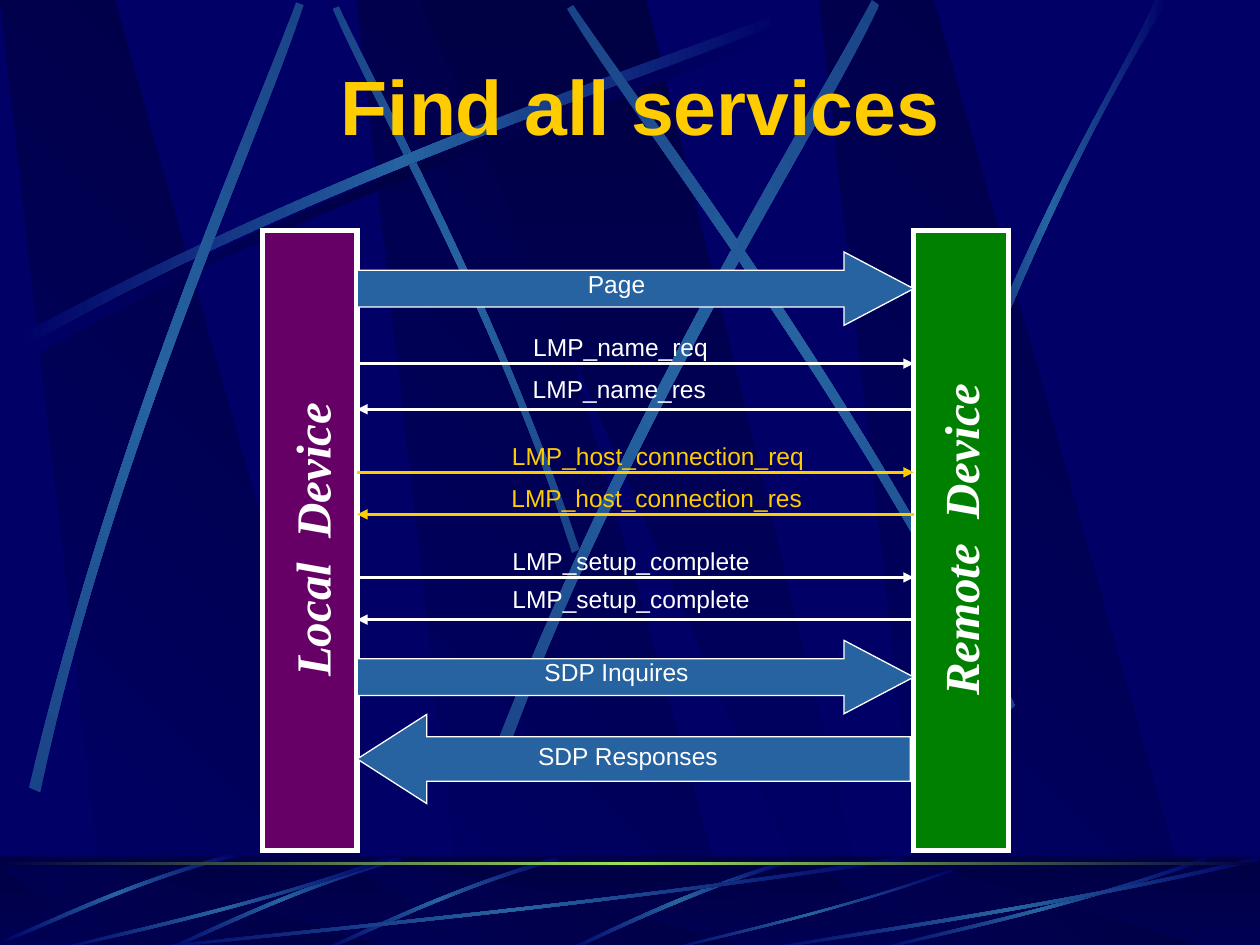
from copy import deepcopy
from dataclasses import dataclass

from pptx import Presentation
from pptx.dml.color import RGBColor
from pptx.enum.shapes import MSO_CONNECTOR, MSO_SHAPE
from pptx.enum.text import MSO_ANCHOR, MSO_AUTO_SIZE, PP_ALIGN
from pptx.oxml.ns import qn
from pptx.oxml.xmlchemy import OxmlElement
from pptx.util import Cm, Length, Pt

RECTANGLE = MSO_SHAPE.RECTANGLE
RIGHT_ARROW = MSO_SHAPE.RIGHT_ARROW
STRAIGHT = MSO_CONNECTOR.STRAIGHT
LEFT, CENTER = PP_ALIGN.LEFT, PP_ALIGN.CENTER
TOP, MIDDLE = MSO_ANCHOR.TOP, MSO_ANCHOR.MIDDLE
GROW = MSO_AUTO_SIZE.SHAPE_TO_FIT_TEXT

NAVY = RGBColor(0x00, 0x00, 0x66)
DARK = RGBColor(0x00, 0x00, 0x44)
DUSK = RGBColor(0x1A, 0x44, 0x88)
BLUE = RGBColor(0x26, 0x63, 0xA0)
LIME = RGBColor(0x9C, 0xE1, 0x57)
GOLD = RGBColor(0xFF, 0xCC, 0x00)
WHITE = RGBColor(0xFF, 0xFF, 0xFF)
GREEN = RGBColor(0x00, 0x80, 0x00)
PURPLE = RGBColor(0x66, 0x00, 0x66)

GRID = Cm(0.0254)  # background grid: 1000 by 750 units
LANE_LEFT, LANE_RIGHT = Cm(7.2), Cm(18.42)
LABEL_HEIGHT = Cm(0.86)
Point = tuple[float, float]


@dataclass(frozen=True)
class Beam:
    """Two cubic edges, each of four points, and the direction of its gradient."""
    there: tuple[Point, ...]
    back: tuple[Point, ...]
    angle: float = 0
    middle: RGBColor = BLUE
    ends: RGBColor = NAVY


@dataclass(frozen=True)
class Device:
    name: str
    left: Length
    text_center: Length
    color: RGBColor


@dataclass(frozen=True)
class BlockArrow:
    text: str
    top: Length
    height: Length
    width: Length
    head: float
    label_left: Length
    label_top: Length
    rotation: int = 0


@dataclass(frozen=True)
class Message:
    text: str
    y: Length
    label_left: Length
    label_top: Length
    label_width: Length
    to_remote: bool
    color: RGBColor = WHITE


WALL_BEAMS = [
    Beam(((20, 275), (284, 134), (524, 59), (626, 18)),
         ((629, 24), (528, 69), (254, 151), (23, 285)), middle=DARK),
    Beam(((460, 436), (391, 234), (302, 77), (269, 5)),
         ((264, 7), (295, 79), (398, 258), (454, 439)), 45, ends=DUSK),
    Beam(((14, 267), (278, 125), (518, 51), (620, 10)),
         ((623, 16), (522, 61), (248, 143), (17, 277))),
    Beam(((23, 625), (93, 334), (197, 105), (235, 2)),
         ((241, 4), (207, 108), (86, 368), (32, 629)), 311.7, ends=DUSK),
    Beam(((385, 614), (498, 320), (638, 102), (692, 0)),
         ((698, 4), (649, 108), (486, 355), (394, 621)), 321.6, ends=DUSK),
    Beam(((806, 560), (670, 293), (516, 95), (455, 4)),
         ((450, 7), (507, 101), (685, 325), (799, 566)), 34.8, ends=DUSK),
    Beam(((738, 393), (814, 173), (888, 66), (917, 0)),
         ((927, 0), (836, 145), (769, 322), (744, 397))),
]
FLOOR_BEAMS = [
    Beam(((627, 682), (537, 709), (477, 742), (448, 754)),
         ((453, 755), (490, 737), (571, 700), (628, 685))),
    *(Beam(((x + 186, 680), (x + 99, 705), (x + 31, 740), (x, 753)),
           ((x + 1, 755), (x + 32, 743), (x + 109, 703), (x + 188, 683)), 315)
      for x in (256, 131)),
    Beam(((186, 677), (99, 700), (33, 734), (2, 746)),
         ((3, 748), (34, 737), (110, 698), (188, 680)), 315),
    Beam(((717, 683), (449, 723), (206, 744), (103, 755)),
         ((100, 754), (202, 741), (480, 718), (714, 680))),
    *(Beam(((x + 266, 683), (x + 151, 723), (x + 46, 744), (x + 1, 755)),
           ((x, 754), (x + 44, 741), (x + 164, 718), (x + 265, 680)))
      for x in (42, 692)),
    Beam(((758, 691), (658, 726), (567, 745), (528, 755)),
         ((527, 754), (565, 743), (669, 722), (757, 689))),
    Beam(((1000, 683), (827, 723), (669, 744), (602, 755)),
         ((600, 754), (666, 741), (846, 718), (998, 680))),
]
DEVICES = [
    Device("Remote  Device", LANE_RIGHT, Cm(19.35), GREEN),
    Device("Local  Device", Cm(5.29), Cm(6.28), PURPLE),
]
BLOCK_ARROWS = [
    BlockArrow("SDP Responses", Cm(14.4), Cm(1.8), Cm(11.15), 0.78, Cm(8.06), Cm(14.81), 180),
    BlockArrow("Page", Cm(5.08), Cm(1.48), Cm(11.22), 0.95, Cm(7.83), Cm(5.3)),
    BlockArrow("SDP Inquires", Cm(12.91), Cm(1.48), Cm(11.22), 0.95, Cm(7.83), Cm(13.13)),
]
MESSAGES = [
    Message("LMP_name_req", Cm(7.33), Cm(10.5), Cm(6.57), Cm(4.1), True),
    Message("LMP_name_res", Cm(8.25), Cm(10.49), Cm(7.42), Cm(4.1), False),
    Message("LMP_host_connection_req", Cm(9.52), Cm(10.07), Cm(8.76), Cm(6.45), True, GOLD),
    Message("LMP_host_connection_res", Cm(10.37), Cm(10.06), Cm(9.61), Cm(6.45), False, GOLD),
    Message("LMP_setup_complete", Cm(11.64), Cm(10.08), Cm(10.88), Cm(5.4), True),
    Message("LMP_setup_complete", Cm(12.49), Cm(10.08), Cm(11.65), Cm(5.4), False),
]


def fill_gradient(shape, colors: list[RGBColor], angle: float) -> None:
    """Fill with evenly spaced stops; the angle runs clockwise."""
    shape.shadow.inherit = False
    shape.line.fill.background()
    shape.fill.gradient()
    shape.fill.gradient_angle = -angle % 360
    stop_list = shape._element.spPr.find(".//" + qn("a:gsLst"))
    for _ in colors[2:]:
        stop_list.append(deepcopy(stop_list[0]))
    for index, (stop, color) in enumerate(zip(shape.fill.gradient_stops, colors)):
        stop.color.rgb = color
        stop.position = index / (len(colors) - 1)


def add_polygon(slide, points: list[Point]):
    (x, y), *rest = [(x * GRID, y * GRID) for x, y in points]
    builder = slide.shapes.build_freeform(x, y)
    builder.add_line_segments(rest, close=True)
    return builder.convert_to_shape()


def bend_edges(shape) -> None:
    """Turn the two long edges of an eight-point outline into cubic curves."""
    segments = shape._element.spPr.findall(".//" + qn("a:lnTo"))
    for start in (0, 4):
        bezier = OxmlElement("a:cubicBezTo")
        segments[start].addprevious(bezier)
        for segment in segments[start:start + 3]:
            bezier.append(segment[0])
            segment.getparent().remove(segment)


def add_beams(slide, beams: list[Beam]) -> None:
    for beam in beams:
        shape = add_polygon(slide, [*beam.there, *beam.back])
        bend_edges(shape)
        fill_gradient(shape, [beam.ends, beam.middle, beam.ends], beam.angle)


def add_panels(slide, top: float) -> None:
    """Slanted dark panels from the given height down to the slide's foot."""
    for x in (283, 0, 650):
        panel = add_polygon(slide, [(x + 86, 750), (x + 302, 750), (x + 91, top), (x, top)])
        fill_gradient(panel, [DARK, NAVY], 135)
    panel = add_polygon(slide, [(333, top), (658, 750), (694, 750), (513, top)])
    fill_gradient(panel, [DARK, NAVY], 90)


def add_box(slide, kind, left, top, width, height, color, line_width=None):
    shape = slide.shapes.add_shape(kind, left, top, width, height)
    shape.shadow.inherit = False
    shape.fill.solid()
    shape.fill.fore_color.rgb = color
    if line_width is None:
        shape.line.fill.background()
    else:
        shape.line.color.rgb = WHITE
        shape.line.width = line_width
        shape.line._get_or_add_ln().append(OxmlElement("a:miter"))
    return shape


def add_text(slide, text: str, left, top, width, height, *, size=14, color=WHITE, font="Arial",
             bold=False, italic=False, align=CENTER, anchor=TOP, rotation=0) -> None:
    box = slide.shapes.add_textbox(left, top, width, height)
    box.rotation = rotation
    frame = box.text_frame
    frame.word_wrap, frame.auto_size, frame.vertical_anchor = True, GROW, anchor
    paragraph = frame.paragraphs[0]
    paragraph.text, paragraph.alignment = text, align
    style = paragraph.runs[0].font
    style.name, style.size, style.bold, style.italic = font, Pt(size), bold, italic
    style.color.rgb = color


def add_background(slide) -> None:
    slide.background.fill.solid()
    slide.background.fill.fore_color.rgb = NAVY
    add_panels(slide, 0)
    add_beams(slide, WALL_BEAMS)
    floor = add_box(slide, RECTANGLE, 0, Cm(17.27), Cm(25.4), Cm(1.78), DARK)
    fill_gradient(floor, [DARK, NAVY], 90)
    add_panels(slide, 688)
    shade = add_box(slide, RECTANGLE, 0, Cm(17.25), Cm(25.4), Cm(1.8), DARK)
    alpha = OxmlElement("a:alpha")
    alpha.set("val", "50000")
    shade._element.spPr.find(".//" + qn("a:srgbClr")).append(alpha)
    add_beams(slide, FLOOR_BEAMS)
    horizon = add_box(slide, RECTANGLE, 0, Cm(17.37), Cm(25.4), Cm(0.06), LIME)
    fill_gradient(horizon, [DARK, LIME, DARK], 0)


def add_device(slide, device: Device) -> None:
    add_box(slide, RECTANGLE, device.left, Cm(4.65), Cm(1.91), Cm(12.5), device.color, Pt(3))
    width, height = Cm(12.02), Cm(1.45)
    add_text(slide, device.name, device.text_center - width // 2, Cm(10.88) - height // 2,
             width, height, size=28, font="Times New Roman", bold=True, italic=True, rotation=270)


def add_block_arrow(slide, arrow: BlockArrow) -> None:
    shape = add_box(slide, RIGHT_ARROW, LANE_LEFT, arrow.top, arrow.width, arrow.height,
                    BLUE, Pt(0.75))
    shape.adjustments[1] = arrow.head
    shape.rotation = arrow.rotation
    add_text(slide, arrow.text, arrow.label_left, arrow.label_top, Cm(9.2), LABEL_HEIGHT)


def add_message(slide, message: Message) -> None:
    start, end = (LANE_LEFT, LANE_RIGHT) if message.to_remote else (LANE_RIGHT, LANE_LEFT)
    line = slide.shapes.add_connector(STRAIGHT, start, message.y, end, message.y)
    line.line.color.rgb = message.color
    line.line.width = Pt(1.5)
    head = OxmlElement("a:tailEnd")
    head.set("type", "triangle")
    line.line._get_or_add_ln().append(head)
    line._element.spPr.append(OxmlElement("a:effectLst"))
    add_text(slide, message.text, message.label_left, message.label_top, message.label_width,
             LABEL_HEIGHT, color=message.color, align=LEFT)


def main() -> None:
    presentation = Presentation()
    presentation.slide_width, presentation.slide_height = Cm(25.4), Cm(19.05)
    slide = presentation.slides.add_slide(presentation.slide_layouts[6])
    add_background(slide)
    add_text(slide, "Find all services", Cm(2.12), Cm(1.04), Cm(21.59), Cm(2.13),
             size=44, color=GOLD, bold=True, anchor=MIDDLE)
    for device in DEVICES:
        add_device(slide, device)
    for arrow in BLOCK_ARROWS:
        add_block_arrow(slide, arrow)
    for message in MESSAGES:
        add_message(slide, message)
    presentation.save("out.pptx")


if __name__ == "__main__":
    main()
